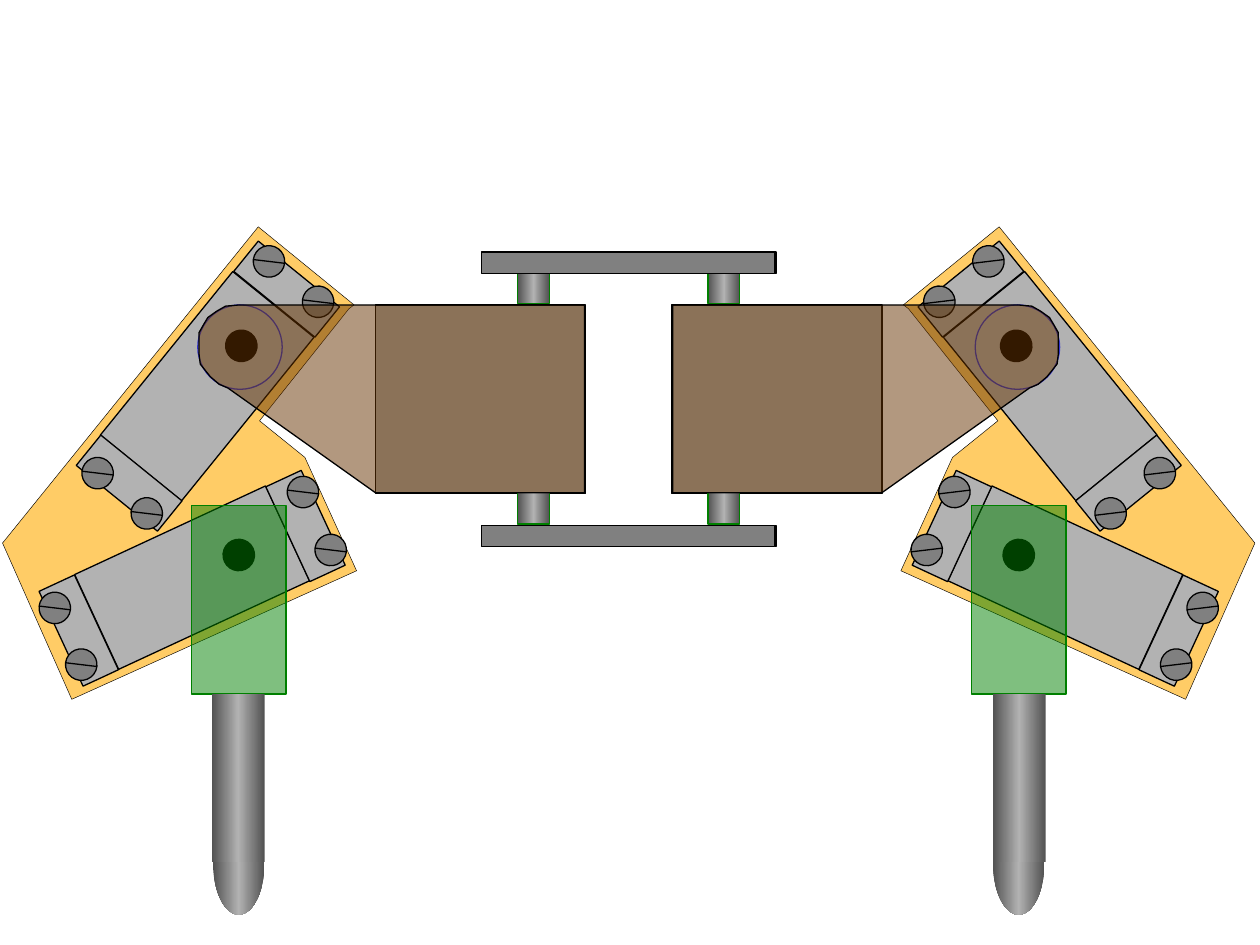
"""Build a slide with a mirrored pair of jointed linkages around a central frame."""
from copy import deepcopy

from pptx import Presentation
from pptx import util as u
from pptx.dml.color import RGBColor
from pptx.enum import shapes
from pptx.oxml.ns import qn
from lxml import etree

RECT, OVAL = shapes.MSO_SHAPE.RECTANGLE, shapes.MSO_SHAPE.OVAL
MIRROR_WIDTH = 9.98
ARM_TILT, LEG_TILT, SCREW_TILT = 51, 24.9, 173.2
SCREW_SIZE, SLOT_RISE = 0.25, 0.03

THEME = {
    "plate": {"fill": "B2B2B2", "line": "000000"},
    "bar": {"fill": "808080", "line": "000000"},
    "bracket": {"fill": "FFCC66", "line": "000000", "width": 0.25},
    "pivot": {"fill": "000000", "line": "000000"},
    "ring": {"line": "3333CC"},
    "housing": {"fill": "663300", "alpha": 50, "line": "000000"},
    "sleeve": {"fill": "008000", "alpha": 50, "line": "008000"},
    "pin": {"gradient": ("525252", "B2B2B2", "525252"), "line": "008000"},
    "rod": {"gradient": ("525252", "B2B2B2", "525252")},
}

FRAME = [
    (RECT, "plate", 5.33, 2.42, 1.67, 1.5, 0),
    (RECT, "pin", 5.62, 2.16, 0.25, 0.25, 0),
    (RECT, "pin", 5.62, 3.91, 0.25, 0.25, 0),
    (RECT, "bar", 3.83, 2, 2.33, 0.17, 0),
    (RECT, "bar", 3.83, 4.17, 2.33, 0.17, 0),
]
BRACKET = [(7.17, 2.42), (7.93, 1.8), (9.96, 4.31), (9.41, 5.55), (7.15, 4.53),
           (7.56, 3.63), (7.92, 3.34), (7.21, 2.45)]
JOINTS = [
    (RECT, "plate", 7.5, 2.65, 1.67, 0.83, ARM_TILT),
    (OVAL, "pivot", 7.94, 2.62, 0.25, 0.25, ARM_TILT),
    (RECT, "plate", 7.55, 1.88, 0.31, 0.83, ARM_TILT),
    (RECT, "plate", 8.8, 3.42, 0.31, 0.83, ARM_TILT),
    (RECT, "plate", 7.62, 4.17, 1.67, 0.83, LEG_TILT),
    (OVAL, "pivot", 7.96, 4.28, 0.25, 0.25, LEG_TILT),
    (RECT, "plate", 7.4, 3.76, 0.31, 0.83, LEG_TILT),
    (RECT, "plate", 9.2, 4.59, 0.31, 0.83, LEG_TILT),
    (OVAL, "ring", 7.74, 2.42, 0.67, 0.67, 0),
]
SCREWS = [(7.33, 2.27), (7.72, 1.95), (9.08, 3.63), (8.69, 3.95),
          (9.42, 4.7), (9.21, 5.15), (7.23, 4.24), (7.45, 3.78)]
HOUSING = [(5.34, 2.42), (8.08, 2.42), (8.19, 2.43), (8.26, 2.47), (8.33, 2.52),
           (8.36, 2.57), (8.4, 2.64), (8.4, 2.7), (8.4, 2.81), (8.39, 2.89),
           (8.35, 2.94), (8.31, 2.99), (8.24, 3.05), (8.17, 3.08), (7, 3.91),
           (5.34, 3.91)]
LEG = [
    (RECT, "sleeve", 7.71, 4.01, 0.75, 1.5, 0),
    (OVAL, "rod", 7.88, 6.43, 0.41, 0.83, 0),
    (RECT, "rod", 7.88, 5.51, 0.42, 1.33, 0),
]


def set_gradient(fill, colors):
    fill.gradient()
    fill.gradient_angle = 180
    stops = fill._xPr.find(qn("a:gradFill")).find(qn("a:gsLst"))
    stops.append(deepcopy(stops[-1]))
    for index, (stop, color) in enumerate(zip(stops, colors)):
        stop.set("pos", str(index * 50000))
        for child in list(stop):
            stop.remove(child)
        etree.SubElement(stop, qn("a:srgbClr"), val=color)


def set_line(line, color, width=0.75):
    line.color.rgb = RGBColor.from_string(color)
    line.width = u.Pt(width)


def apply_style(shape, name):
    style = THEME[name]
    shape.shadow.inherit = False
    if "gradient" in style:
        set_gradient(shape.fill, style["gradient"])
    elif "fill" in style:
        shape.fill.solid()
        shape.fill.fore_color.rgb = RGBColor.from_string(style["fill"])
    else:
        shape.fill.background()
    if "alpha" in style:
        color = shape._element.spPr.find(qn("a:solidFill")).find(qn("a:srgbClr"))
        etree.SubElement(color, qn("a:alpha"), val=str(style["alpha"] * 1000))
    if "line" in style:
        set_line(shape.line, style["line"], style.get("width", 0.75))
    else:
        shape.line.fill.background()


class Side:
    """One half of the mechanism, optionally mirrored."""

    def __init__(self, slide, mirrored):
        self.shapes = slide.shapes.add_group_shape().shapes
        self.mirrored = mirrored

    def across(self, x, width=0):
        return u.Inches(MIRROR_WIDTH - x - width if self.mirrored else x)

    def add_parts(self, parts):
        for kind, style, left, top, width, height, tilt in parts:
            shape = self.shapes.add_shape(
                kind, self.across(left, width), u.Inches(top),
                u.Inches(width), u.Inches(height))
            shape.rotation = -tilt % 360 if self.mirrored else tilt
            apply_style(shape, style)

    def add_outline(self, points, style):
        corners = [(self.across(x), u.Inches(y)) for x, y in points]
        builder = self.shapes.build_freeform(*corners[0])
        builder.add_line_segments(corners[1:], close=True)
        apply_style(builder.convert_to_shape(), style)

    def add_screw(self, left, top):
        self.add_parts([(OVAL, "bar", left, top, SCREW_SIZE, SCREW_SIZE, SCREW_TILT)])
        middle = top + SCREW_SIZE / 2
        slot = self.shapes.add_connector(
            shapes.MSO_CONNECTOR.STRAIGHT,
            self.across(left + SCREW_SIZE), u.Inches(middle - SLOT_RISE / 2),
            self.across(left), u.Inches(middle + SLOT_RISE / 2))
        set_line(slot.line, THEME["bar"]["line"])
        etree.SubElement(slot._element.spPr, qn("a:effectLst"))

    def build(self):
        self.add_parts(FRAME)
        self.add_outline(BRACKET, "bracket")
        self.add_parts(JOINTS)
        for left, top in SCREWS:
            self.add_screw(left, top)
        self.add_outline(HOUSING, "housing")
        self.add_parts(LEG)


def main():
    presentation = Presentation()
    presentation.slide_width, presentation.slide_height = u.Inches(10), u.Inches(7.5)
    slide = presentation.slides.add_slide(presentation.slide_layouts[6])
    for mirrored in (False, True):
        Side(slide, mirrored).build()
    presentation.save("out.pptx")


if __name__ == "__main__":
    main()
